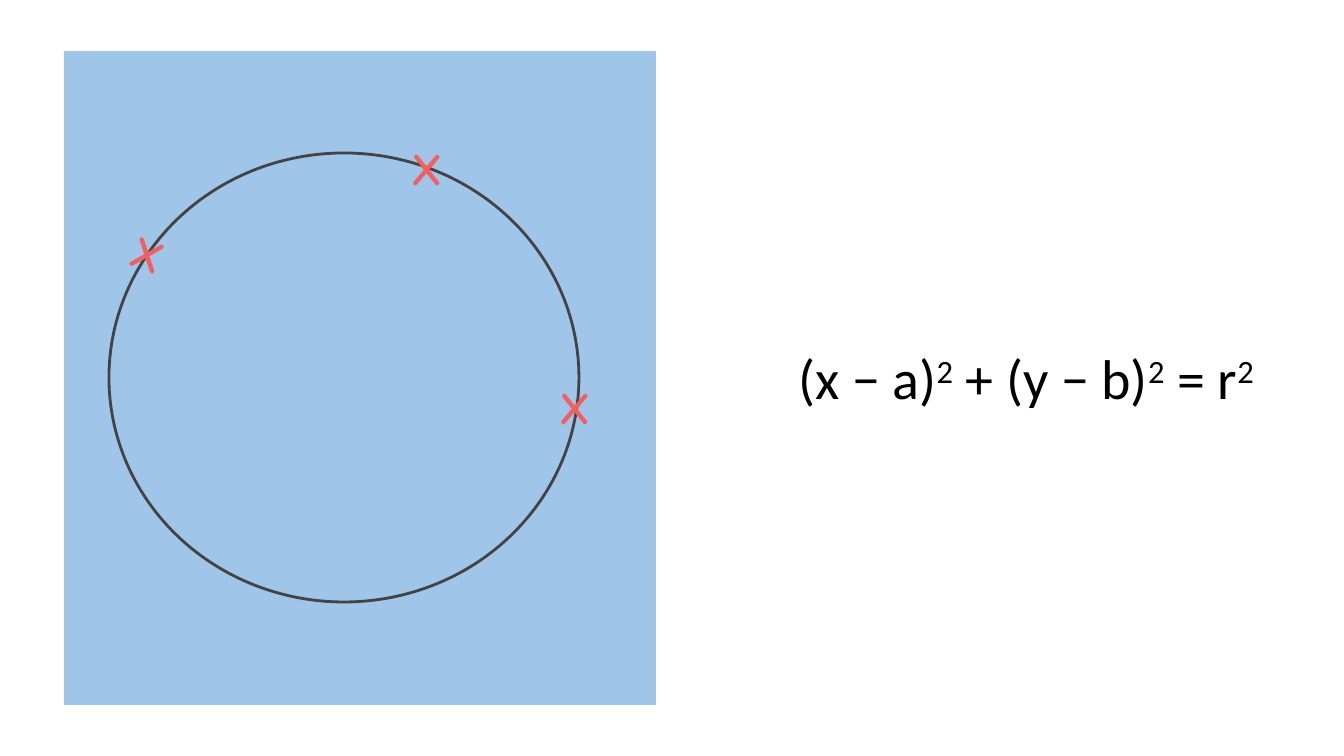
from pptx import Presentation
from pptx.dml.color import RGBColor
from pptx.enum.shapes import MSO_SHAPE as SHAPE
from pptx.enum.text import MSO_ANCHOR as ANCHOR, PP_ALIGN as ALIGN
from pptx.util import Emu, Pt


def px(*values):
    return [Emu(round(v * 9144000 / 1344)) for v in values]


def rgb(color):
    return RGBColor.from_string(color)


prs = Presentation()
prs.slide_width, prs.slide_height = px(1344, 756)
s = prs.slides.add_slide(prs.slide_layouts[6])
inset = px(13)[0]

equation = s.shapes.add_textbox(*px(746, 286, 560, 183))
tf = equation.text_frame
tf.word_wrap = True
tf.vertical_anchor = ANCHOR.MIDDLE
p = tf.paragraphs[0]
p.alignment = ALIGN.CENTER
for term in ["(x − a)", " + (y − b)", " = r"]:
    for text, baseline in [(term, 0), ("2", 30000)]:
        r = p.add_run()
        r.text = text
        r.font.name, r.font.size = "Calibri", Pt(30)
        r.font.color.rgb = rgb("000000")
        r._r.get_or_add_rPr().set("baseline", str(baseline))

panel = s.shapes.add_shape(SHAPE.RECTANGLE, *px(64, 51, 592, 654))
panel.shadow.inherit = False
panel.fill.solid()
panel.fill.fore_color.rgb = rgb("9FC5E8")
panel.line.fill.background()

circle = s.shapes.add_shape(SHAPE.OVAL, *px(109, 153, 470, 449))
circle.shadow.inherit = False
circle.fill.background()
circle.line.color.rgb = rgb("434343")
circle.line.width = Pt(1.5)

marks = [(125, 214, 20.5), (398, 128, 0), (546, 367, 0)]
for x, y, angle in marks:
    mark = s.shapes.add_textbox(*px(x, y, 55, 52))
    mark.rotation = angle
    mark.text_frame.text = "X"
    mark.text_frame.word_wrap = True
    r = mark.text_frame.paragraphs[0].runs[0]
    r.font.name, r.font.size, r.font.bold = "Comic Neue", Pt(24), True
    r.font.color.rgb = rgb("F55E61")

for sp in [equation, *list(s.shapes)[3:]]:
    tf = sp.text_frame
    tf.margin_left = tf.margin_right = tf.margin_top = tf.margin_bottom = inset

prs.save("out.pptx")
